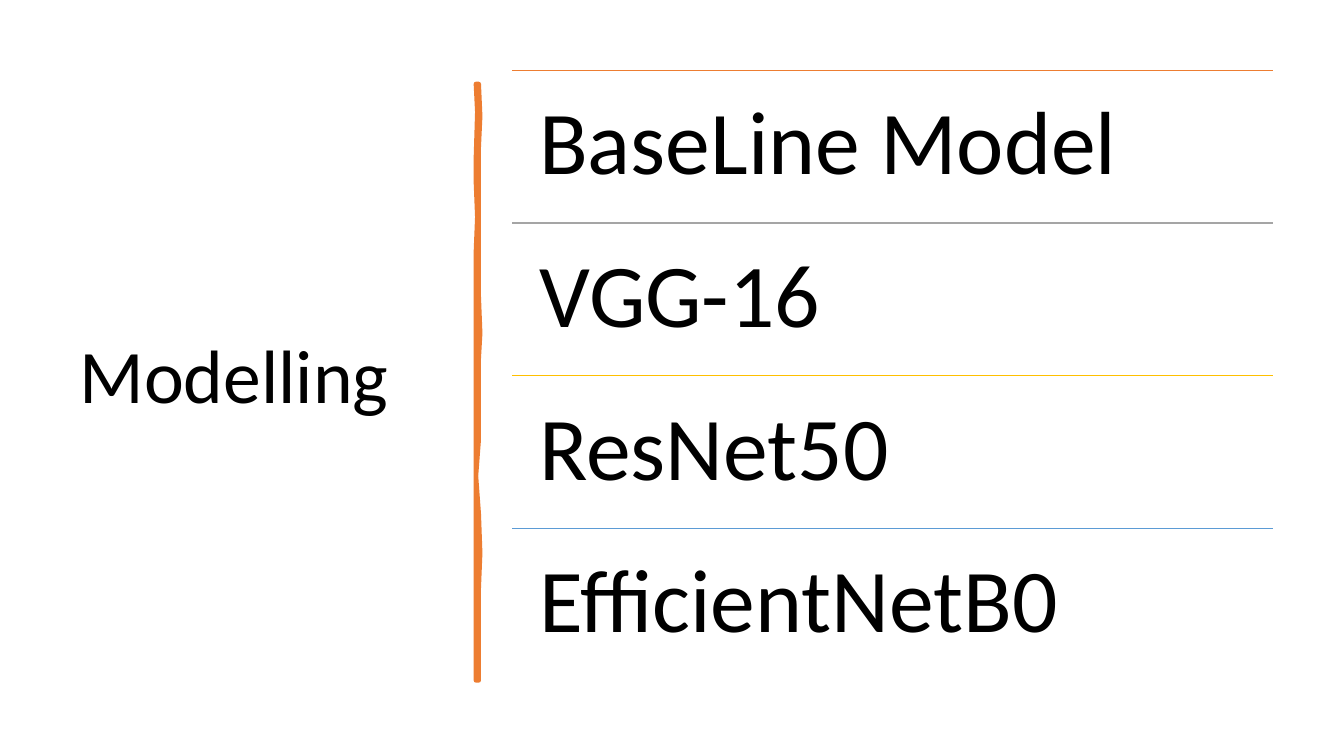
from dataclasses import dataclass

from pptx import Presentation
from pptx.dml.color import RGBColor as RGB
from pptx.enum.shapes import MSO_CONNECTOR as CONN
from pptx.enum.text import MSO_ANCHOR as ANCHOR
from pptx.oxml.ns import qn
from pptx.util import Pt
from lxml.etree import SubElement


@dataclass(frozen=True)
class Theme:
    font: str = "Calibri"
    text: str = "000000"
    bar: str = "ED7D31"
    rules: tuple = ("ED7D31", "A5A5A5", "FFC000", "5B9BD5")
    title_size: float = 54
    item_size: float = 64
    rule_width: float = 1
    bar_width: float = 3.25


def write(tf, text, *, size, color, font, spacing=0.9):
    p = tf.paragraphs[0]
    p.line_spacing = spacing
    r = p.add_run()
    r.text = text
    r.font.size = Pt(size)
    r.font.name = font
    r.font.color.rgb = RGB.from_string(color)


class Deck:
    def __init__(self, theme, slide):
        self.theme = theme
        self.slide = slide

    def text(self, text, x, y, w, h, *, size, inset, anchor=ANCHOR.TOP):
        tf = self.slide.shapes.add_textbox(Pt(x), Pt(y), Pt(w), Pt(h)).text_frame
        tf.word_wrap = True
        tf.vertical_anchor = anchor
        tf.margin_left = tf.margin_right = Pt(inset[0])
        tf.margin_top = tf.margin_bottom = Pt(inset[1])
        write(tf, text, size=size, color=self.theme.text, font=self.theme.font)

    def rule(self, x, y, w, color):
        s = self.slide.shapes.add_connector(CONN.STRAIGHT, Pt(x), Pt(y), Pt(x + w), Pt(y))
        s.line.color.rgb = RGB.from_string(color)
        s.line.width = Pt(self.theme.rule_width)
        SubElement(s._element.spPr, qn("a:effectLst"))

    def outline(self, points, color):
        fb = self.slide.shapes.build_freeform(*points[0], scale=Pt(1))
        fb.add_line_segments(points[1:], close=True)
        s = fb.convert_to_shape()
        s.shadow.inherit = False
        s.fill.solid()
        s.fill.fore_color.rgb = RGB.from_string(color)
        s.line.color.rgb = RGB.from_string(color)
        s.line.width = Pt(self.theme.bar_width)
        SubElement(s._element.spPr.find(qn("a:ln")), qn("a:round"))


RIGHT_EDGE = [
    (342, 60.5), (343, 83), (342, 105), (341.5, 132), (342, 163),
    (341.5, 187), (342, 212), (343, 238), (342, 256), (342.5, 290),
    (342, 314), (340.5, 340), (342, 367), (343.2, 395), (342, 420),
    (341.5, 450), (342, 486.5),
]
LEFT_EDGE = [
    (340.5, 486.5), (340, 455), (340.5, 401), (340, 370), (340.5, 343),
    (339.8, 321), (340.5, 299), (340, 270), (340.5, 241), (339.8, 211),
    (340.5, 180), (341.2, 155), (340.5, 130), (339.8, 113), (341.2, 80),
    (340.5, 60.5),
]
ITEMS = ("BaseLine Model", "VGG-16", "ResNet50", "EfficientNetB0")
LIST_X, LIST_Y, LIST_W, ROW_H = 366, 50.4, 543.5, 109


def main():
    prs = Presentation()
    prs.slide_width, prs.slide_height = Pt(960), Pt(540)
    theme = Theme()
    deck = Deck(theme, prs.slides.add_slide(prs.slide_layouts[6]))

    deck.text("Modelling", 49.7, 50.4, 269.3, 440, size=theme.title_size,
              inset=(7.2, 3.6), anchor=ANCHOR.MIDDLE)
    deck.outline(RIGHT_EDGE + LEFT_EDGE, theme.bar)
    for i, (item, color) in enumerate(zip(ITEMS, theme.rules)):
        y = LIST_Y + i * ROW_H
        deck.rule(LIST_X, y, LIST_W, color)
        deck.text(item, LIST_X, y, LIST_W, ROW_H, size=theme.item_size,
                  inset=(19.2, 19.2))

    prs.save("out.pptx")


if __name__ == "__main__":
    main()
